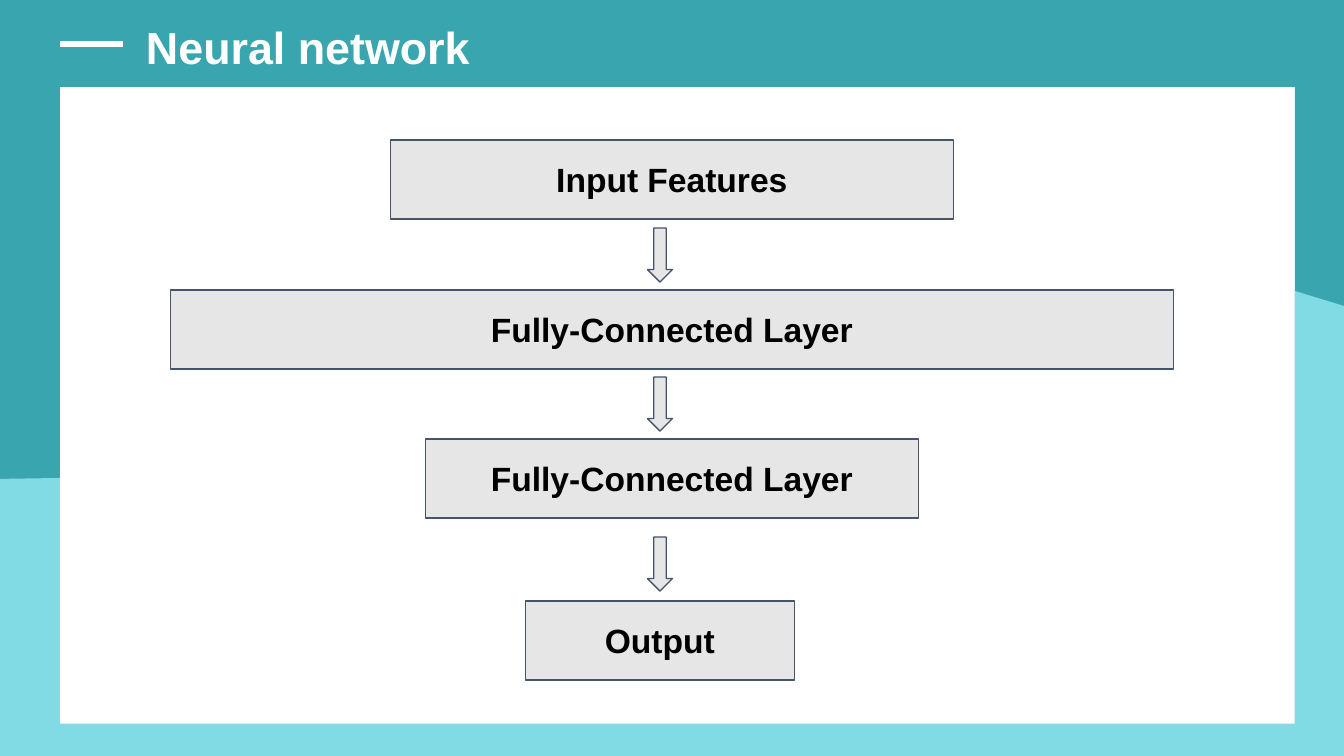
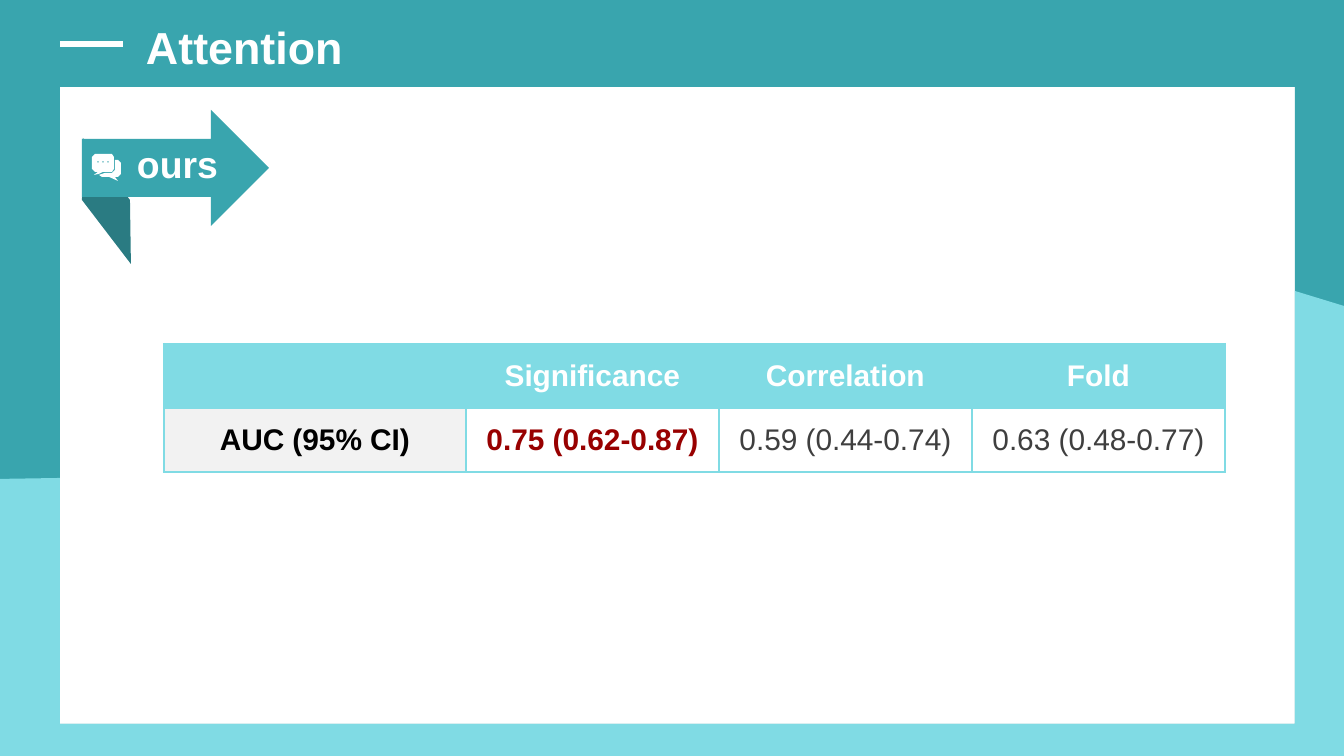
from lxml.etree import SubElement
from pptx import Presentation
from pptx.dml.color import RGBColor
from pptx.enum.shapes import MSO_CONNECTOR, MSO_SHAPE
from pptx.enum.text import MSO_ANCHOR, PP_ALIGN
from pptx.oxml.ns import qn
from pptx.util import Emu, Pt

EMU_PER_PX = 914400 / 134.4
WIDTH, HEIGHT = 1344, 756
FONT = "Arial"
COLOURS = {
    "teal": "39A5AE",
    "dark teal": "2A7B82",
    "aqua": "80DBE4",
    "white": "FFFFFF",
    "black": "000000",
    "grey": "E7E6E6",
    "pale grey": "F2F2F2",
    "slate": "44546A",
    "red": "980000",
    "charcoal": "3F3F3F",
}
PANEL = [(60, 87), (60, 724), (1295, 724), (1295, 87)]
EDGE = [(0, 0), (WIDTH, 0), (WIDTH, HEIGHT), (0, HEIGHT)]
WAVE = [(1295, 291), (WIDTH, 306), (WIDTH, HEIGHT), (0, HEIGHT),
        (0, 479), (60, 478), (60, 724), (1295, 724)]
RIBBON_FOLD = [(83, 138), (130, 200), (131, 264), (82, 200)]
FRONT_BUBBLE = [(95, 154), (112, 154), (114, 157), (114, 169), (112, 172), (103, 172),
                (99, 174), (94, 175), (98, 172), (95, 172), (92, 169), (92, 157)]
BACK_BUBBLE = [(115, 160), (118, 160), (121, 163), (121, 174), (118, 177), (115, 177),
               (118, 181), (109, 177), (102, 177), (99, 175), (105, 173), (112, 173),
               (115, 170)]
BUBBLE_DOTS = [[(x, 161), (x - 1, 162), (x, 163), (x + 1, 162)] for x in (98, 103, 108)]

LAYER_HEIGHT = 79
LAYERS = [
    ("Input Features", 672, 140, 563),
    ("Fully-Connected Layer", 672, 290, 1003),
    ("Fully-Connected Layer", 672, 439, 493),
    ("Output", 660, 601, 269),
]
ARROW_LENGTH, ARROW_BREADTH, ARROW_CENTRE = 54, 25, 660
ARROW_TOPS = [228, 377, 537]

RESULTS = [
    ["", "Significance", "Correlation", "Fold"],
    ["AUC (95% CI)", "0.75 (0.62-0.87)", "0.59 (0.44-0.74)", "0.63 (0.48-0.77)"],
]
COLUMN_WIDTHS = [302, 253, 253, 253]
ROW_HEIGHT = 64
HEADER_STYLE = ("aqua", "white", True)
VALUE_STYLE = ("white", "charcoal", False)
CELL_STYLES = [
    [HEADER_STYLE] * 4,
    [("pale grey", "black", True), ("white", "red", True), VALUE_STYLE, VALUE_STYLE],
]


def px(length):
    """Turn pixels into EMU."""
    return Emu(round(length * EMU_PER_PX))


def colour(name):
    """Look up a named colour."""
    return RGBColor.from_string(COLOURS[name])


def paint(shape, fill, line=None):
    """Set the fill and outline of a shape and drop its shadow."""
    shape.shadow.inherit = False
    shape.fill.solid()
    shape.fill.fore_color.rgb = colour(fill)
    if line:
        shape.line.color.rgb = colour(line)
        shape.line.width = Pt(0.75)
    else:
        shape.line.fill.background()


def write(frame, text, size, ink, bold=True, align=PP_ALIGN.LEFT):
    """Put one formatted paragraph into a text frame."""
    frame.text = text
    para = frame.paragraphs[0]
    para.alignment = align
    for span in para.runs:
        span.font.name = FONT
        span.font.size = Pt(size)
        span.font.bold = bold
        span.font.color.rgb = colour(ink)


def set_margins(holder, across, down):
    """Set the inner margins of a text frame or table cell."""
    holder.margin_left = holder.margin_right = px(across)
    holder.margin_top = holder.margin_bottom = px(down)


def add_outline(page, contours, fill):
    """Draw a filled freeform from closed contours."""
    builder = page.shapes.build_freeform(*contours[0][0], scale=EMU_PER_PX)
    builder.add_line_segments(contours[0][1:], close=True)
    for contour in contours[1:]:
        builder.move_to(*contour[0])
        builder.add_line_segments(contour[1:], close=True)
    paint(builder.convert_to_shape(), fill)


def add_preset(page, kind, left, top, width, height, fill, line=None):
    """Draw a preset shape."""
    shape = page.shapes.add_shape(kind, px(left), px(top), px(width), px(height))
    paint(shape, fill, line)
    return shape


def add_label(page, text, left, top, width, height, size):
    """Add a bold white text box."""
    box = page.shapes.add_textbox(px(left), px(top), px(width), px(height))
    box.text_frame.word_wrap = True
    set_margins(box.text_frame, 9, 5)
    write(box.text_frame, text, size, "white")


def add_page(deck, title):
    """Add a page with the shared frame, wave, dash and title."""
    page = deck.slides.add_slide(deck.slide_layouts[6])
    add_outline(page, [PANEL, EDGE], "teal")
    add_outline(page, [WAVE], "aqua")
    dash = page.shapes.add_connector(MSO_CONNECTOR.STRAIGHT, px(60), px(44), px(123), px(44))
    dash.line.color.rgb = colour("white")
    dash.line.width = Pt(3)
    SubElement(dash._element.spPr, qn("a:effectLst"))
    add_label(page, title, 137, 15, 1087, 58, 24)
    return page


def add_layer(page, text, centre, top, width):
    """Draw one network layer around its horizontal centre."""
    box = add_preset(page, MSO_SHAPE.RECTANGLE, centre - width / 2, top,
                     width, LAYER_HEIGHT, "grey", "slate")
    frame = box.text_frame
    frame.word_wrap = True
    frame.vertical_anchor = MSO_ANCHOR.MIDDLE
    set_margins(frame, 13, 13)
    write(frame, text, 18, "black", align=PP_ALIGN.CENTER)


def add_flow_arrow(page, top):
    """Draw an arrow pointing down to the next layer."""
    left = ARROW_CENTRE - ARROW_LENGTH / 2
    unturned_top = top + (ARROW_LENGTH - ARROW_BREADTH) / 2
    arrow = add_preset(page, MSO_SHAPE.RIGHT_ARROW, left, unturned_top,
                       ARROW_LENGTH, ARROW_BREADTH, "grey", "slate")
    arrow.rotation = 90


def add_ribbon(page, text):
    """Draw the folded arrow ribbon with its chat icon and label."""
    add_outline(page, [RIBBON_FOLD], "dark teal")
    add_preset(page, MSO_SHAPE.RIGHT_ARROW, 82, 110, 187, 116, "teal")
    add_label(page, text, 128, 136, 117, 63, 20)
    add_outline(page, [FRONT_BUBBLE, BACK_BUBBLE, *BUBBLE_DOTS], "white")


def add_borders(cell, name, width):
    """Give a table cell four solid borders."""
    properties = cell._tc.get_or_add_tcPr()
    for side in ("a:lnL", "a:lnR", "a:lnT", "a:lnB"):
        line = SubElement(properties, qn(side), w=str(Pt(width)))
        fill = SubElement(line, qn("a:solidFill"))
        SubElement(fill, qn("a:srgbClr"), val=COLOURS[name])


def add_results(page, left, top):
    """Add the results table."""
    table = page.shapes.add_table(
        len(RESULTS), len(COLUMN_WIDTHS), px(left), px(top),
        px(sum(COLUMN_WIDTHS)), px(ROW_HEIGHT * len(RESULTS))).table
    for column, width in zip(table.columns, COLUMN_WIDTHS):
        column.width = px(width)
    for row, texts, styles in zip(table.rows, RESULTS, CELL_STYLES):
        row.height = px(ROW_HEIGHT)
        for cell, text, (fill, ink, bold) in zip(row.cells, texts, styles):
            add_borders(cell, "aqua", 1.5)
            cell.fill.solid()
            cell.fill.fore_color.rgb = colour(fill)
            cell.vertical_anchor = MSO_ANCHOR.MIDDLE
            set_margins(cell, 10, 5)
            write(cell.text_frame, text, 16, ink, bold, PP_ALIGN.CENTER)


def main():
    """Build and save the deck."""
    deck = Presentation()
    deck.slide_width, deck.slide_height = px(WIDTH), px(HEIGHT)

    network = add_page(deck, "Neural network")
    for layer in LAYERS:
        add_layer(network, *layer)
    for top in ARROW_TOPS:
        add_flow_arrow(network, top)

    attention = add_page(deck, "Attention")
    add_ribbon(attention, "ours")
    add_results(attention, 164, 344)

    deck.save("out.pptx")


if __name__ == "__main__":
    main()
